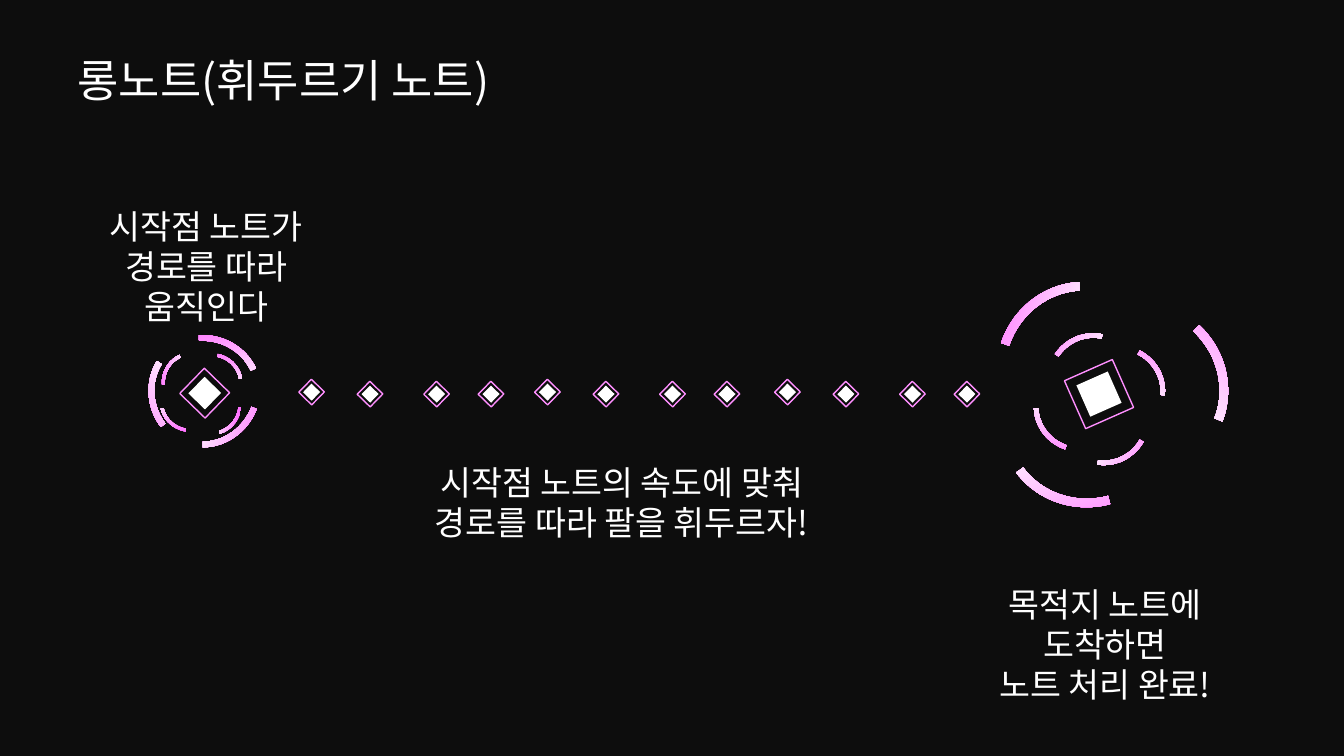
from lxml import etree
from pptx import Presentation
from pptx.dml.color import RGBColor
from pptx.enum.shapes import MSO_SHAPE
from pptx.enum.text import MSO_ANCHOR, MSO_AUTO_SIZE, PP_ALIGN
from pptx.oxml.ns import qn
from pptx.util import Inches, Pt

RECT, ARC = MSO_SHAPE.RECTANGLE, MSO_SHAPE.BLOCK_ARC
LEFT, CENTER = PP_ALIGN.LEFT, PP_ALIGN.CENTER
TOP, NO_FIT = MSO_ANCHOR.TOP, MSO_AUTO_SIZE.NONE

FONT = "Noto Sans CJK KR"
BACK, WHITE, PINK, OUTLINE = "0D0D0D", "FFFFFF", "FF66FF", "FF8FFF"
ARC_STOPS = [(0, PINK), (54, WHITE), (100, PINK)]

TITLE = "롱노트(휘두르기 노트)"
TITLE_BOX = (0.67, 0.47, 4.29, 1.17)
CAPTIONS = [
    ("시작점 노트가\n경로를 따라 움직인다", (0.55, 1.99, 2.99, 1.31)),
    ("시작점 노트의 속도에 맞춰\n경로를 따라 팔을 휘두르자!", (4.2, 4.53, 3.93, 0.91)),
    ("목적지 노트에 도착하면\n노트 처리 완료!", (9.31, 5.74, 3.3, 1.31)),
]

# Path of small diamonds: group starts, then (dx, dy) inside each group
PATH_STARTS = [3.09, 5.43, 7.81]
PATH_Y = 3.89
PATH_STEPS = [(0, 0), (0.58, 0.02), (1.24, 0.02), (1.78, 0.02)]

# Ring arcs: four inner, three outer; turns are relative to the note
INNER_ARC, OUTER_ARC = (0.61, 0.59), (1.18, 1.13)
ARC_SIZES = [INNER_ARC] * 4 + [OUTER_ARC] * 3
ARC_TURNS = [6.7, 90, 183, 261.9, 106.1, 228.2, 351.7]
NOTES = [
    {"center": (2.03, 3.9), "inner": 0.23, "outer": 0.35, "rot": 134.2,
     "scale": 1, "turn": 0,
     "arcs": [(0.07, -0.1), (0.07, 0.11), (-0.14, 0.09), (-0.13, -0.1),
              (-0.01, -0.05), (0.02, 0), (-0.03, -0.01)]},
    {"center": (10.9, 3.91), "inner": 0.34, "outer": 0.52, "rot": 66.1,
     "scale": 1.5, "turn": -68,
     "arcs": [(-0.07, -0.15), (0.2, -0.04), (0.06, 0.25), (-0.19, 0.13),
              (0.41, -0.07), (-0.1, 0.27), (-0.17, -0.23)]},
]


def color(value):
    """Turn a hex string into a colour."""
    return RGBColor.from_string(value)


def write(sp, text, box, size, align):
    """Place a text shape and format its paragraphs."""
    sp.left, sp.top, sp.width, sp.height = map(Inches, box)
    tf = sp.text_frame
    tf.text = text
    tf.word_wrap, tf.auto_size, tf.vertical_anchor = True, NO_FIT, TOP
    for p in tf.paragraphs:
        p.alignment = align
        for r in p.runs:
            r.font.size, r.font.name = Pt(size), FONT
            r.font.color.rgb = color(WHITE)
            ea = etree.SubElement(r.font._element, qn("a:ea"))
            ea.set("typeface", FONT)


def add_centered(kind, center, size, rot):
    """Add a rotated preset shape around a centre point."""
    (x, y), (w, h) = center, size
    sp = s.shapes.add_shape(kind, Inches(x - w / 2), Inches(y - h / 2),
                            Inches(w), Inches(h))
    sp.rotation = rot
    sp.shadow.inherit = False
    return sp


def add_diamond(center, inner, outer, rot):
    """Draw a white square inside a pink outlined one."""
    core = add_centered(RECT, center, (inner, inner), rot)
    core.fill.solid()
    core.fill.fore_color.rgb = color(WHITE)
    core.line.fill.background()
    frame = add_centered(RECT, center, (outer, outer), rot)
    frame.fill.background()
    frame.line.color.rgb = color(OUTLINE)
    frame.line.width = Pt(1)


def add_arc(center, size, rot):
    """Draw one ring segment with a pink-white-pink gradient."""
    sp = add_centered(ARC, center, size, rot)
    for i, value in enumerate((165.26, 206.8, 0.05)):
        sp.adjustments[i] = value
    sp.line.fill.background()
    sp.fill.gradient()
    grad = sp._element.spPr.find(qn("a:gradFill"))
    for child in list(grad):
        grad.remove(child)
    stops = etree.SubElement(grad, qn("a:gsLst"))
    for pos, value in ARC_STOPS:
        gs = etree.SubElement(stops, qn("a:gs"), pos=str(pos * 1000))
        etree.SubElement(gs, qn("a:srgbClr"), val=value)
    etree.SubElement(grad, qn("a:lin"), ang=str(90 * 60000), scaled="0")


def add_note(note):
    """Draw a note: its diamond and the arcs around it."""
    add_diamond(note["center"], note["inner"], note["outer"], note["rot"])
    x, y = note["center"]
    for (dx, dy), (w, h), turn in zip(note["arcs"], ARC_SIZES, ARC_TURNS):
        size = (w * note["scale"], h * note["scale"])
        add_arc((x + dx, y + dy), size, (turn + note["turn"]) % 360)


prs = Presentation()
prs.slide_width, prs.slide_height = Inches(13.33), Inches(7.5)
s = prs.slides.add_slide(prs.slide_layouts[5])
s.background.fill.solid()
s.background.fill.fore_color.rgb = color(BACK)

write(s.shapes.title, TITLE, TITLE_BOX, 32, LEFT)
for start in PATH_STARTS:
    for dx, dy in PATH_STEPS:
        add_diamond((start + dx, PATH_Y + dy), 0.12, 0.18, 134.2)
for note in NOTES:
    add_note(note)
for text, box in CAPTIONS:
    write(s.shapes.add_textbox(0, 0, 0, 0), text, box, 24, CENTER)

prs.save("out.pptx")
